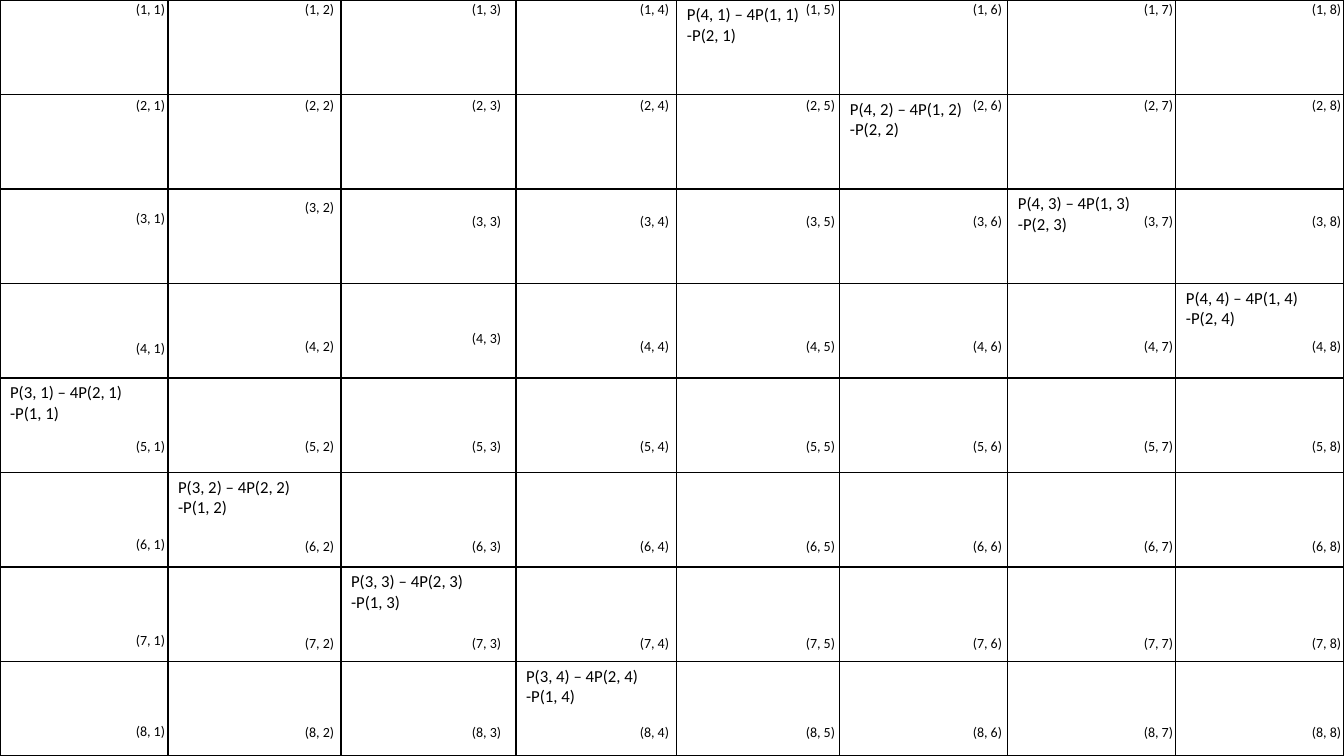
import lxml.etree
import pptx
import pptx.dml.color
import pptx.enum.text
import pptx.oxml.ns
import pptx.util

PX = 914400 / 100.8
GRID = 8
HALF = GRID // 2
WIDTH, HEIGHT = 1344, 756
COLUMN_WIDTHS = [168, 173, 175, 161, 163, 168, 168, 168]
INDEX_LEFTS = [123, 292, 459, 627, 793, 960, 1131, 1299]
INDEX_TOPS = [-4, 92, 208, 333, 433, 533, 630, 719]
SHIFTED_TOPS = {(3, 1): 205, (3, 2): 194, (4, 1): 335, (4, 3): 325,
                (6, 1): 531, (7, 1): 627, (8, 1): 718}
INDEX_FORMAT = {"size": pptx.util.Pt(10), "name": "Calibri"}
FORMULA_FORMAT = {"size": pptx.util.Pt(12), "name": "Calibri"}
BLACK, WHITE = "000000", "FFFFFF"


def px(length):
    return pptx.util.Emu(round(length * PX))


def color(value):
    return pptx.dml.color.RGBColor.from_string(value)


deck = pptx.Presentation()
deck.slide_width, deck.slide_height = px(WIDTH), px(HEIGHT)
slide = deck.slides.add_slide(deck.slide_layouts[6])

matrix = slide.shapes.add_table(GRID, GRID, 0, 0, px(WIDTH), px(HEIGHT)).table
matrix.first_row = False
matrix.horz_banding = False
for column, width in zip(matrix.columns, COLUMN_WIDTHS):
    column.width = px(width)
for row in matrix.rows:
    row.height = px(HEIGHT / GRID)

for cell in matrix.iter_cells():
    properties = cell._tc.get_or_add_tcPr()
    for side in ("a:lnL", "a:lnR", "a:lnT", "a:lnB"):
        border = lxml.etree.SubElement(properties, pptx.oxml.ns.qn(side), w="12700")
        stroke = lxml.etree.SubElement(border, pptx.oxml.ns.qn("a:solidFill"))
        lxml.etree.SubElement(stroke, pptx.oxml.ns.qn("a:srgbClr"), val=BLACK)
    cell.fill.solid()
    cell.fill.fore_color.rgb = color(WHITE)

for row in range(GRID):
    first, second, third = (4, 1, 2) if row < HALF else (3, 2, 1)
    k = row % HALF + 1
    formula = matrix.cell(row, (row + HALF) % GRID).text_frame
    formula.text = f"P({first}, {k}) – 4P({second}, {k})\n-P({third}, {k})"
    for line in formula.paragraphs:
        for key, value in FORMULA_FORMAT.items():
            setattr(line.runs[0].font, key, value)
        line.runs[0].font.color.rgb = color(BLACK)

for i, row_top in enumerate(INDEX_TOPS, 1):
    for j, left in enumerate(INDEX_LEFTS, 1):
        top = SHIFTED_TOPS.get((i, j), row_top)
        index = slide.shapes.add_textbox(px(left), px(top), px(55), px(27)).text_frame
        index.auto_size = pptx.enum.text.MSO_AUTO_SIZE.SHAPE_TO_FIT_TEXT
        index.text = f"({i}, {j})"
        line = index.paragraphs[0]
        line.alignment = pptx.enum.text.PP_ALIGN.CENTER
        for key, value in INDEX_FORMAT.items():
            setattr(line.runs[0].font, key, value)
        line.runs[0].font.color.rgb = color(BLACK)

deck.save("out.pptx")
